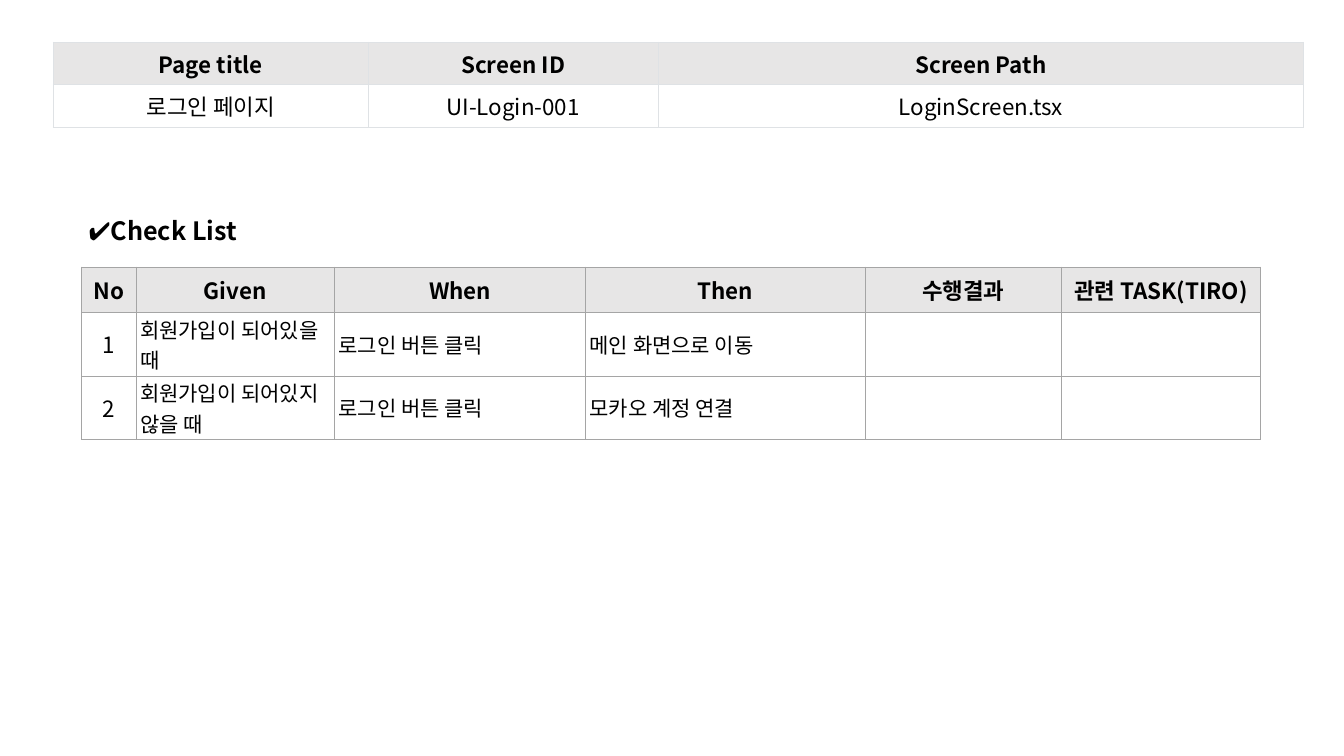
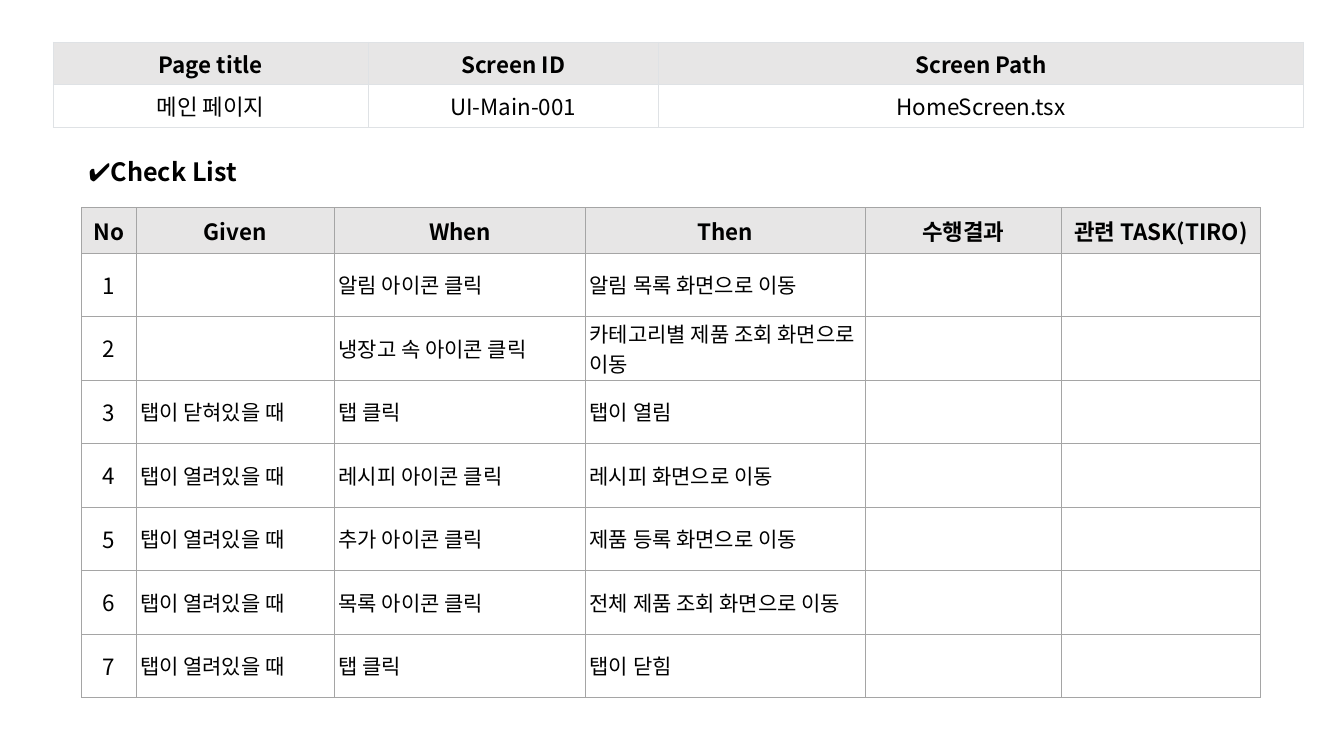
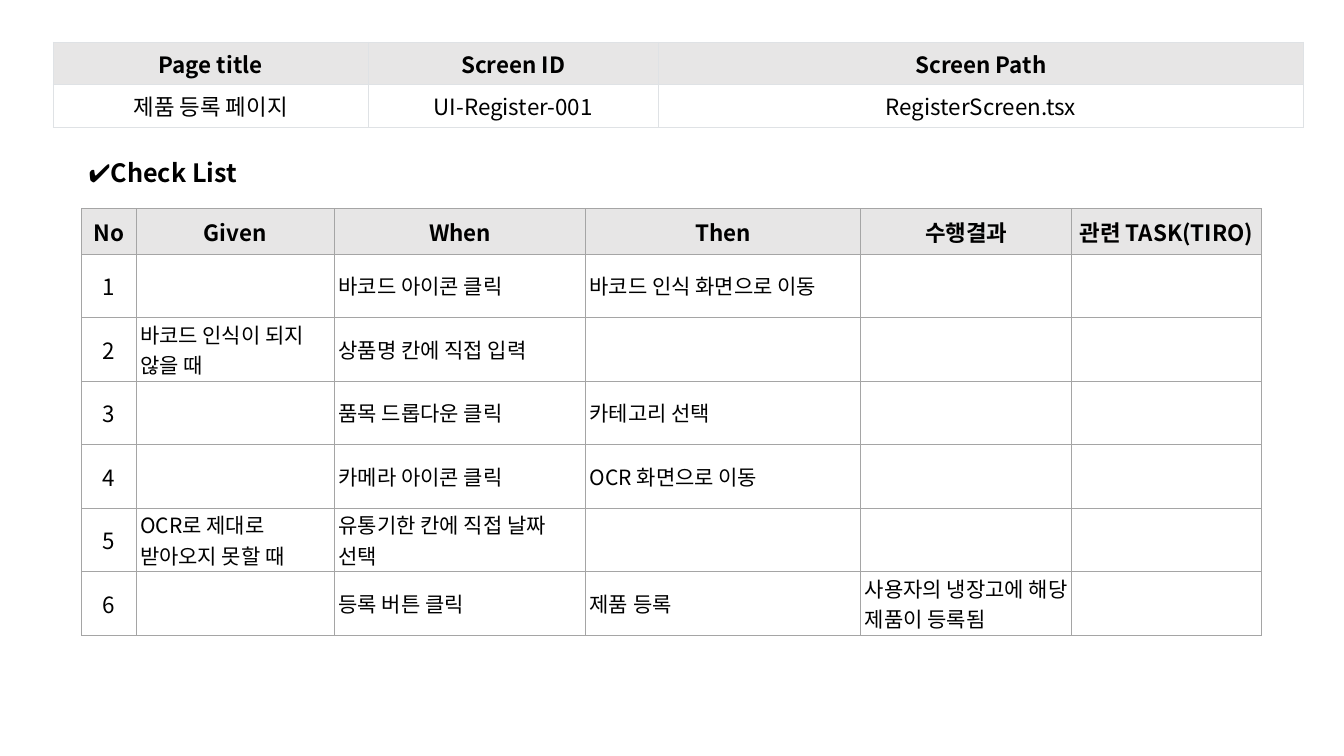
from lxml import etree
from pptx import Presentation
from pptx.dml.color import RGBColor
from pptx.enum import text
from pptx.oxml import ns
from pptx.util import Inches, Pt

FONT = "Noto Sans CJK KR"
BLACK = RGBColor(0x00, 0x00, 0x00)
WHITE = RGBColor(0xFF, 0xFF, 0xFF)
HEADER_GRAY = RGBColor(0xE7, 0xE6, 0xE6)
CHECK_LINE = RGBColor(0xA5, 0xA5, 0xA5)
INFO_LINE = RGBColor(0xDF, 0xE2, 0xE5)
CENTER, LEFT = text.PP_ALIGN.CENTER, text.PP_ALIGN.LEFT

HEADING = "✔Check List"
INFO_HEADER = ("Page title", "Screen ID", "Screen Path")
INFO_WIDTHS = (3.12, 2.88, 6.4)
CHECK_HEADER = ("No", "Given", "When", "Then", "수행결과", "관련 TASK(TIRO)")
CHECK_WIDTHS = (0.54, 1.97, 2.49, 2.77, 1.95, 1.97)
REGISTER_WIDTHS = (0.54, 1.97, 2.49, 2.73, 2.09, 1.88)

SCREENS = [
    {
        "info": ("로그인 페이지", "UI-Login-001", "LoginScreen.tsx"),
        "heading_top": 2.09,
        "widths": CHECK_WIDTHS,
        "checks": [
            ("회원가입이 되어있을 때", "로그인 버튼 클릭", "메인 화면으로 이동", ""),
            ("회원가입이 되어있지 않을 때", "로그인 버튼 클릭", "모카오 계정 연결", ""),
        ],
    },
    {
        "info": ("메인 페이지", "UI-Main-001", "HomeScreen.tsx"),
        "heading_top": 1.5,
        "widths": CHECK_WIDTHS,
        "checks": [
            ("", "알림 아이콘 클릭", "알림 목록 화면으로 이동", ""),
            ("", "냉장고 속 아이콘 클릭", "카테고리별 제품 조회 화면으로 이동", ""),
            ("탭이 닫혀있을 때", "탭 클릭", "탭이 열림", ""),
            ("탭이 열려있을 때", "레시피 아이콘 클릭", "레시피 화면으로 이동", ""),
            ("탭이 열려있을 때", "추가 아이콘 클릭", "제품 등록 화면으로 이동", ""),
            ("탭이 열려있을 때", "목록 아이콘 클릭", "전체 제품 조회 화면으로 이동", ""),
            ("탭이 열려있을 때", "탭 클릭", "탭이 닫힘", ""),
        ],
    },
    {
        "info": ("제품 등록 페이지", "UI-Register-001", "RegisterScreen.tsx"),
        "heading_top": 1.51,
        "widths": REGISTER_WIDTHS,
        "checks": [
            ("", "바코드 아이콘 클릭", "바코드 인식 화면으로 이동", ""),
            ("바코드 인식이 되지 않을 때", "상품명 칸에 직접 입력", "", ""),
            ("", "품목 드롭다운 클릭", "카테고리 선택", ""),
            ("", "카메라 아이콘 클릭", "OCR 화면으로 이동", ""),
            ("OCR로 제대로 받아오지 못할 때", "유통기한 칸에 직접 날짜 선택", "", ""),
            ("", "등록 버튼 클릭", "제품 등록", "사용자의 냉장고에 해당 제품이 등록됨"),
        ],
    },
]


def style_paragraph(para, size, bold, align):
    para.alignment = align
    font = para.font
    font.name, font.size, font.bold = FONT, Pt(size), bold
    font.color.rgb = BLACK
    properties = para._p.get_or_add_pPr().find(ns.qn("a:defRPr"))
    east_asian = etree.Element(ns.qn("a:ea"), typeface=FONT)
    properties.find(ns.qn("a:latin")).addnext(east_asian)


def set_borders(cell, color):
    properties = cell._tc.get_or_add_tcPr()
    for position, side in enumerate(("lnL", "lnR", "lnT", "lnB")):
        line = etree.Element(ns.qn("a:" + side), w=str(Pt(0.75)))
        fill = etree.SubElement(line, ns.qn("a:solidFill"))
        etree.SubElement(fill, ns.qn("a:srgbClr"), val=str(color))
        properties.insert(position, line)


def add_grid(page, left, top, widths, heights, rows, line, margins, body_style):
    frame = page.shapes.add_table(
        len(rows), len(widths), Inches(left), Inches(top),
        Inches(sum(widths)), Inches(sum(heights)))
    table = frame.table
    table.first_row = table.horz_banding = False
    for column, width in zip(table.columns, widths):
        column.width = Inches(width)
    for row, height in zip(table.rows, heights):
        row.height = Inches(height)
    for row_index, values in enumerate(rows):
        header = row_index == 0
        for column_index, value in enumerate(values):
            cell = table.cell(row_index, column_index)
            cell.fill.solid()
            cell.fill.fore_color.rgb = HEADER_GRAY if header else WHITE
            set_borders(cell, line)
            side, header_edge, body_edge = margins
            cell.margin_left = cell.margin_right = Inches(side)
            cell.margin_top = cell.margin_bottom = Inches(header_edge if header else body_edge)
            cell.vertical_anchor = text.MSO_ANCHOR.MIDDLE
            cell.text = value
            size, align = (16, CENTER) if header else body_style(column_index)
            style_paragraph(cell.text_frame.paragraphs[0], size, header, align)


def info_style(column_index):
    return 16, CENTER


def check_style(column_index):
    return (16, CENTER) if column_index == 0 else (15, LEFT)


def add_heading(page, top):
    title = page.shapes.title
    title.left, title.top = Inches(0.78), Inches(top)
    title.width, title.height = Inches(1.85), Inches(0.4)
    box = title.text_frame
    box.text = HEADING
    box.word_wrap = False
    box.auto_size = text.MSO_AUTO_SIZE.NONE
    box.vertical_anchor = text.MSO_ANCHOR.TOP
    style_paragraph(box.paragraphs[0], 18, True, LEFT)


def add_screen(deck, screen):
    page = deck.slides.add_slide(deck.slide_layouts[5])
    add_heading(page, screen["heading_top"])
    checks = [(str(number), *check, "") for number, check in enumerate(screen["checks"], 1)]
    add_grid(page, 0.81, screen["heading_top"] + 0.56, screen["widths"],
             [0.45] + [0.63] * len(checks), [CHECK_HEADER] + checks,
             CHECK_LINE, (0.04, 0.02, 0.01), check_style)
    add_grid(page, 0.53, 0.42, INFO_WIDTHS, [0.42, 0.42],
             [INFO_HEADER, screen["info"]], INFO_LINE, (0.11, 0.05, 0.05), info_style)


def main():
    deck = Presentation()
    deck.slide_width, deck.slide_height = Inches(13.33), Inches(7.5)
    for screen in SCREENS:
        add_screen(deck, screen)
    deck.save("out.pptx")


if __name__ == "__main__":
    main()
